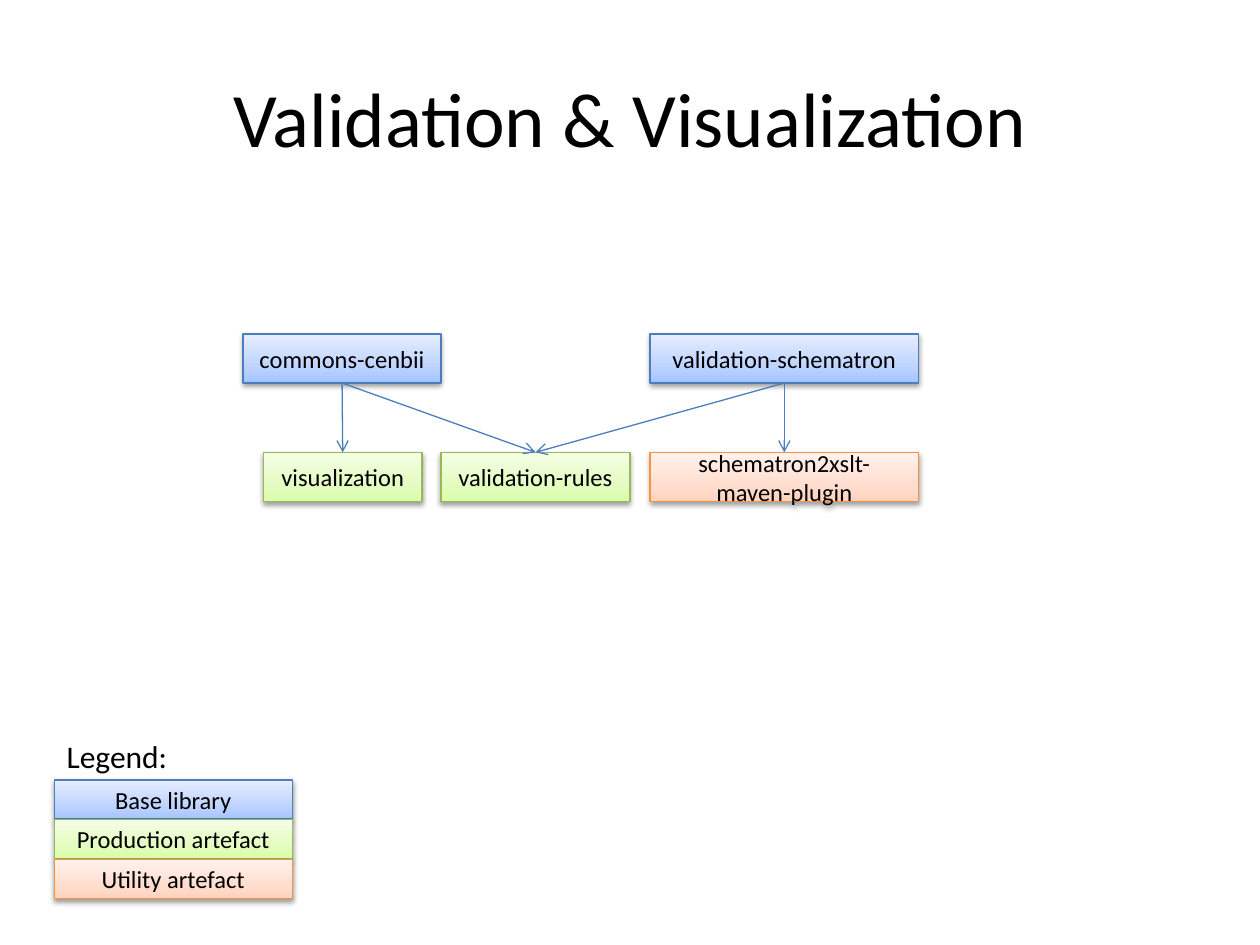
"""Build the Validation & Visualization module dependency slide."""
from copy import deepcopy
from dataclasses import dataclass

from lxml import etree
from pptx import Presentation
from pptx.dml.color import RGBColor
from pptx.enum import shapes, text
from pptx.oxml import ns
from pptx.util import Inches, Pt

BLACK = RGBColor(0x00, 0x00, 0x00)
BLUE = RGBColor(0x4B, 0x7E, 0xBC)
GREEN = RGBColor(0x98, 0xB9, 0x55)
ORANGE = RGBColor(0xF6, 0x92, 0x40)
STOP_POSITIONS = (0, 0.35, 1)
BOTTOM, TOP = 2, 0


@dataclass(frozen=True)
class Category:
    label: str
    outline: RGBColor
    gradient: tuple[RGBColor, RGBColor, RGBColor]


@dataclass(frozen=True)
class Module:
    label: str
    category: Category
    left: float
    top: float
    width: float
    height: float = 0.39


BASE = Category("Base library", BLUE, (
    RGBColor(0xA4, 0xC4, 0xFF), RGBColor(0xBF, 0xD4, 0xFF), RGBColor(0xE6, 0xEE, 0xFF)))
PRODUCTION = Category("Production artefact", GREEN, (
    RGBColor(0xDA, 0xFD, 0xA7), RGBColor(0xE4, 0xFC, 0xC2), RGBColor(0xF5, 0xFF, 0xE7)))
UTILITY = Category("Utility artefact", ORANGE, (
    RGBColor(0xFF, 0xD2, 0xBD), RGBColor(0xFF, 0xDE, 0xD0), RGBColor(0xFF, 0xF2, 0xED)))

LIBRARY_TOP, ARTEFACT_TOP = 2.65, 3.59
MODULES = (
    Module("commons-cenbii", BASE, 1.93, LIBRARY_TOP, 1.57),
    Module("validation-schematron", BASE, 5.16, LIBRARY_TOP, 2.13),
    Module("schematron2xslt-maven-plugin", UTILITY, 5.16, ARTEFACT_TOP, 2.13),
    Module("visualization", PRODUCTION, 2.09, ARTEFACT_TOP, 1.26),
    Module("validation-rules", PRODUCTION, 3.5, ARTEFACT_TOP, 1.5),
)
DEPENDENCIES = (
    ("validation-schematron", "schematron2xslt-maven-plugin"),
    ("commons-cenbii", "visualization"),
    ("commons-cenbii", "validation-rules"),
    ("validation-schematron", "validation-rules"),
)
LEGEND_LEFT, LEGEND_TOP, LEGEND_WIDTH = 0.43, 6.19, 1.89
LEGEND_HEIGHT, LEGEND_PITCH = 0.31, 0.315


def write(frame, words: str, *, size: float, align=text.PP_ALIGN.CENTER,
          anchor=text.MSO_ANCHOR.MIDDLE, wrap: bool = True) -> None:
    """Put formatted text into a text frame."""
    frame.word_wrap = wrap
    frame.vertical_anchor = anchor
    paragraph = frame.paragraphs[0]
    paragraph.alignment = align
    run = paragraph.add_run()
    run.text = words
    run.font.name = "Calibri"
    run.font.size = Pt(size)
    run.font.color.rgb = BLACK


def add_element(parent, tag: str, **attributes: str):
    """Append a DrawingML element to its parent."""
    return etree.SubElement(parent, ns.qn(tag), attributes)


def paint_gradient(box, colors: tuple[RGBColor, ...]) -> None:
    """Fill a box with three colours running from bottom to top."""
    box.fill.gradient()
    box.fill.gradient_angle = 90
    stop_list = box._element.spPr.find(".//" + ns.qn("a:gsLst"))
    stop_list.append(deepcopy(stop_list[-1]))
    for stop, position, color in zip(box.fill.gradient_stops, STOP_POSITIONS, colors):
        stop.position = position
        stop.color.rgb = color


def add_shadow(box) -> None:
    """Give a box a soft shadow below it."""
    box.shadow.inherit = False
    effects = box._element.spPr.find(ns.qn("a:effectLst"))
    shadow = add_element(effects, "a:outerShdw", blurRad=str(Pt(3.1)), dist=str(Pt(1.6)),
                         dir="5400000", rotWithShape="0")
    color = add_element(shadow, "a:srgbClr", val=str(BLACK))
    add_element(color, "a:alpha", val="38000")


def draw_module(slide, module: Module):
    """Draw one labelled box in the style of its category."""
    box = slide.shapes.add_shape(
        shapes.MSO_SHAPE.RECTANGLE, Inches(module.left), Inches(module.top),
        Inches(module.width), Inches(module.height))
    paint_gradient(box, module.category.gradient)
    box.line.color.rgb = module.category.outline
    box.line.width = Pt(0.75)
    add_shadow(box)
    write(box.text_frame, module.label, size=14)
    return box


def draw_dependency(slide, library, artefact) -> None:
    """Draw an arrow from a library down to an artefact."""
    arrow = slide.shapes.add_connector(shapes.MSO_CONNECTOR.STRAIGHT, 0, 0, 0, 0)
    arrow.begin_connect(library, BOTTOM)
    arrow.end_connect(artefact, TOP)
    arrow.line.color.rgb = BLUE
    arrow.line.width = Pt(0.75)
    add_element(arrow.line._get_or_add_ln(), "a:tailEnd", type="arrow")
    add_element(arrow._element.spPr, "a:effectLst")


def draw_legend(slide) -> None:
    """Draw the legend heading and one box per category."""
    heading = slide.shapes.add_textbox(
        Inches(LEGEND_LEFT), Inches(5.8), Inches(1.01), Inches(0.4))
    write(heading.text_frame, "Legend:", size=18, align=text.PP_ALIGN.LEFT,
          anchor=text.MSO_ANCHOR.TOP, wrap=False)
    heading.text_frame.auto_size = text.MSO_AUTO_SIZE.SHAPE_TO_FIT_TEXT
    for row, category in enumerate((BASE, PRODUCTION, UTILITY)):
        draw_module(slide, Module(category.label, category, LEGEND_LEFT,
                                  LEGEND_TOP + row * LEGEND_PITCH,
                                  LEGEND_WIDTH, LEGEND_HEIGHT))


def main() -> None:
    """Assemble and save the slide."""
    deck = Presentation()
    deck.slide_width, deck.slide_height = Inches(10), Inches(7.5)
    slide = deck.slides.add_slide(deck.slide_layouts[5])

    title = slide.shapes.title
    title.left, title.top = Inches(0.5), Inches(0.3)
    title.width, title.height = Inches(9), Inches(1.25)
    write(title.text_frame, "Validation & Visualization", size=44)

    boxes = {module.label: draw_module(slide, module) for module in MODULES}
    for library, artefact in DEPENDENCIES:
        draw_dependency(slide, boxes[library], boxes[artefact])
    draw_legend(slide)
    deck.save("out.pptx")


if __name__ == "__main__":
    main()
